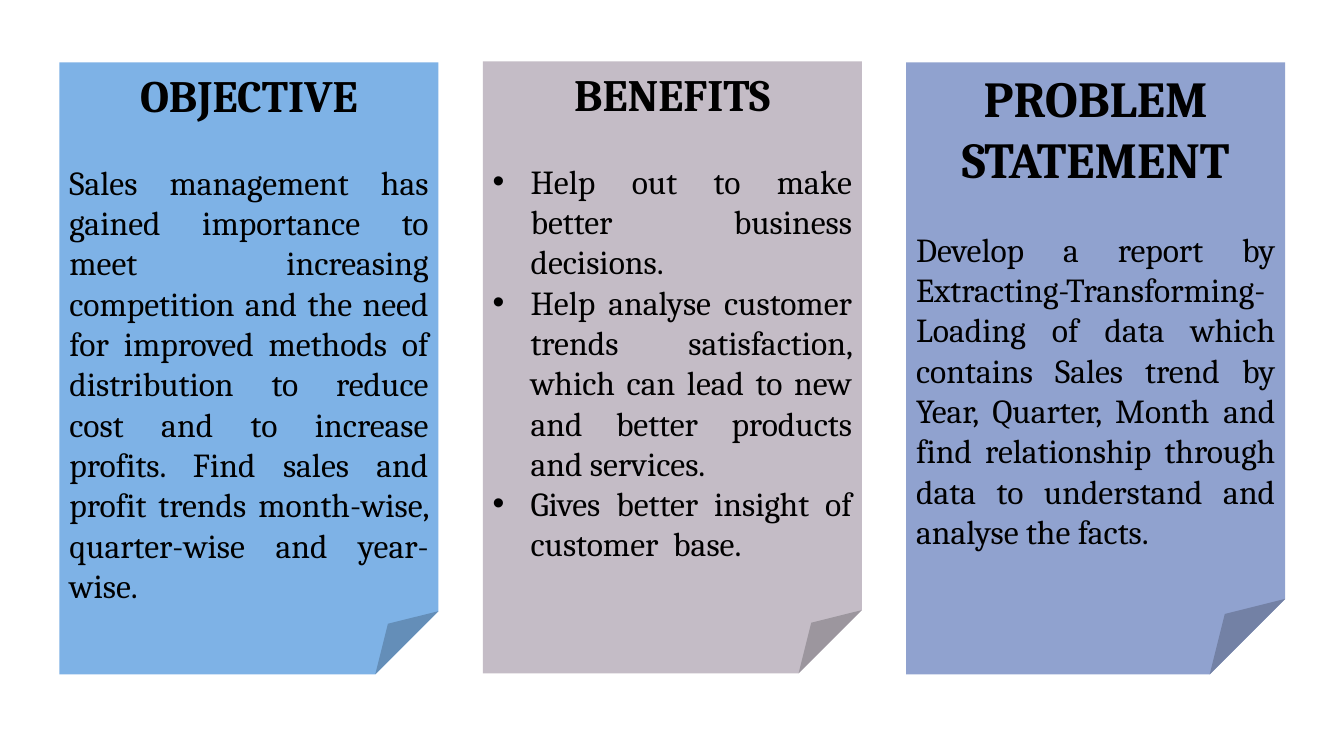
"""Build a slide of three folded notes: objective, benefits and problem."""
from dataclasses import dataclass

from lxml.etree import SubElement
from pptx import Presentation
from pptx.dml.color import RGBColor
from pptx.enum.shapes import MSO_SHAPE as Shape
from pptx.enum.text import MSO_ANCHOR as Anchor, PP_ALIGN as Align
from pptx.oxml.ns import qn
from pptx.util import Pt

LEFT, STEP = 42.48, 302.4
WIDE, HIGH = 270.72, 437.04
INDENT = 27
GAP = 28.8


@dataclass
class Note:
    title: str
    lines: list[str]
    fill: str
    top: float = 44.64
    size: int = 32
    fold: int = 16667
    listed: bool = False


NOTES = [
    Note(
        "OBJECTIVE",
        ["Sales management has gained importance to meet increasing "
         "competition and the need for improved methods of distribution to "
         "reduce cost and to increase profits. Find sales and profit trends "
         "month-wise, quarter-wise and year-wise."],
        "7EB2E6",
    ),
    Note(
        "BENEFITS",
        ["Help out to make better business decisions.",
         "Help analyse customer trends satisfaction, which can lead to new "
         "and better products and services.",
         "Gives better insight of customer  base."],
        "C4BCC6",
        top=43.92,
        listed=True,
    ),
    Note(
        "PROBLEM STATEMENT",
        ["Develop a report by Extracting-Transforming-Loading of data which "
         "contains Sales trend by Year, Quarter, Month and find relationship "
         "through data to understand and analyse the facts."],
        "90A2CF",
        size=36,
        fold=19900,
    ),
]


def color(code: str) -> RGBColor:
    """Turn a hex string into a colour."""
    return RGBColor.from_string(code)


def style(para, size: int, bold: bool, align: Align) -> None:
    """Set the font and alignment of a paragraph."""
    para.alignment = align
    font = para.font
    font.name, font.size, font.bold = "Cambria", Pt(size), bold
    font.color.rgb = color("000000")


def bullet(para) -> None:
    """Give a paragraph a hanging bullet."""
    props = para._p.get_or_add_pPr()
    props.set("marL", str(Pt(INDENT)))
    props.set("indent", str(-Pt(INDENT)))
    face = SubElement(props, qn("a:buFont"))
    face.set("typeface", "Arial")
    mark = SubElement(props, qn("a:buChar"))
    mark.set("char", "•")
    rest = props.find(qn("a:defRPr"))
    if rest is not None:
        props.append(rest)


def bend(card, fold: int) -> None:
    """Set the size of the folded corner."""
    geom = card._element.spPr.find(qn("a:prstGeom"))
    guide = SubElement(geom.find(qn("a:avLst")), qn("a:gd"))
    guide.set("name", "adj")
    guide.set("fmla", f"val {fold}")


def draw(slide, note: Note, left: float) -> None:
    """Draw one folded note with its title and text."""
    card = slide.shapes.add_shape(
        Shape.FOLDED_CORNER, Pt(left), Pt(note.top), Pt(WIDE), Pt(HIGH))
    bend(card, note.fold)
    card.shadow.inherit = False
    card.fill.solid()
    card.fill.fore_color.rgb = color(note.fill)
    card.line.fill.background()
    frame = card.text_frame
    frame.word_wrap = True
    frame.vertical_anchor = Anchor.TOP
    head = frame.paragraphs[0]
    head.text = note.title
    head.space_after = Pt(GAP)
    style(head, note.size, True, Align.CENTER)
    for line in note.lines:
        para = frame.add_paragraph()
        para.text = line
        style(para, 24, False, Align.JUSTIFY)
        if note.listed:
            bullet(para)


def main() -> None:
    """Build the deck and save it."""
    deck = Presentation()
    deck.slide_width, deck.slide_height = Pt(960), Pt(540)
    slide = deck.slides.add_slide(deck.slide_layouts[6])
    for col, note in enumerate(NOTES):
        draw(slide, note, LEFT + col * STEP)
    deck.save("out.pptx")


if __name__ == "__main__":
    main()
